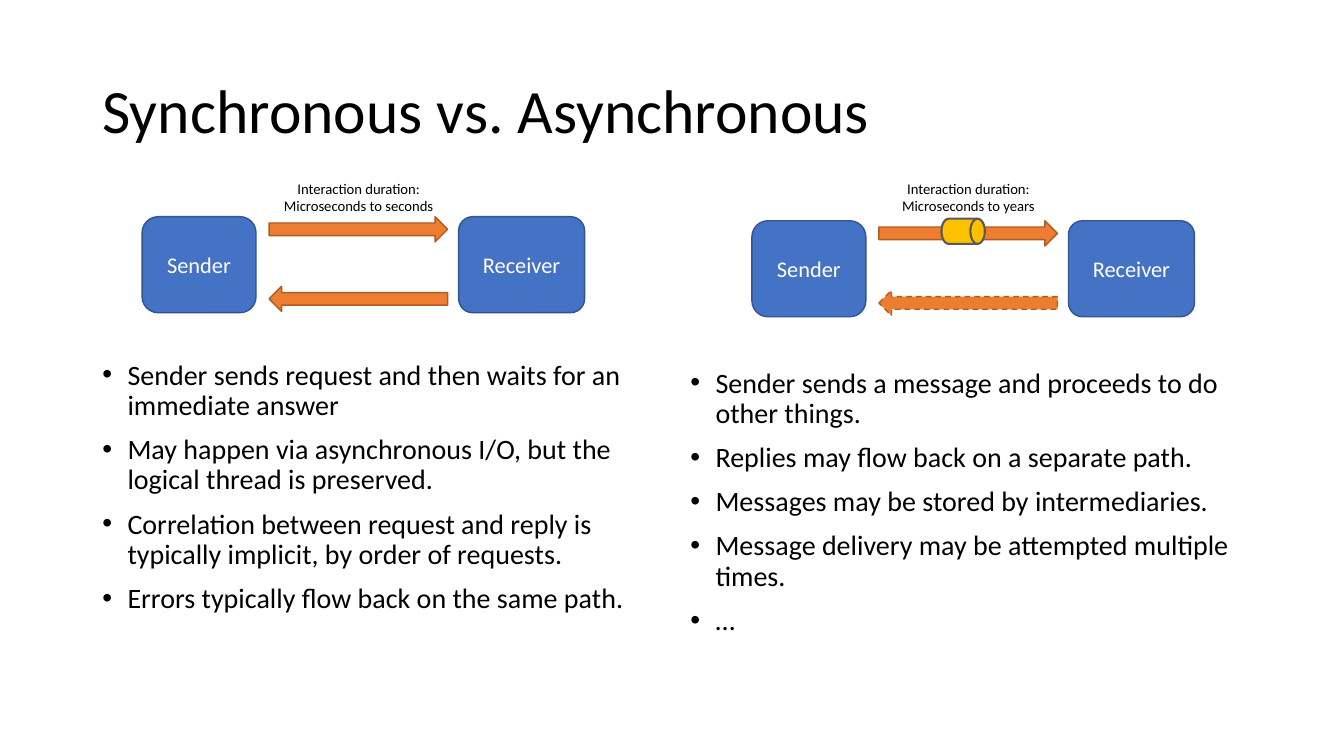
from lxml import etree
from pptx import Presentation
from pptx.dml.color import RGBColor
from pptx.enum import dml, shapes, text
from pptx.oxml import ns
from pptx.util import Pt

HUES = {
    "ink": "000000", "white": "FFFFFF", "blue": "4472C4", "navy": "325491",
    "orange": "ED7D31", "rust": "AF5C24", "gold": "FFC000", "gray": "595959",
}
KIND = shapes.MSO_SHAPE
ALIGN = text.PP_ALIGN
ANCHOR = text.MSO_ANCHOR


def write(box, lines, size, hue="ink", align=ALIGN.LEFT, anchor=ANCHOR.TOP,
          wrap=True, space=1.0, bullet=False):
    frame = box.text_frame
    frame.auto_size = text.MSO_AUTO_SIZE.NONE
    frame.word_wrap = wrap
    frame.vertical_anchor = anchor
    for i, line in enumerate(lines):
        para = frame.add_paragraph() if i else frame.paragraphs[0]
        para.text = line
        para.alignment = align
        para.line_spacing = space
        para.space_before = Pt(10 if i else 0)
        if bullet:
            props = para._p.get_or_add_pPr()
            props.set("marL", str(Pt(18)))
            props.set("indent", str(Pt(-18)))
            etree.SubElement(props, ns.qn("a:buFont")).set("typeface", "Arial")
            etree.SubElement(props, ns.qn("a:buChar")).set("char", "•")
        para.font.name = "Calibri"
        para.font.size = Pt(size)
        para.font.color.rgb = RGBColor.from_string(HUES[hue])


def draw(kind, x, y, w, h, fill, edge, width=1):
    shape = slide.shapes.add_shape(kind, Pt(x), Pt(y), Pt(w), Pt(h))
    shape.shadow.inherit = False
    shape.fill.solid()
    shape.fill.fore_color.rgb = RGBColor.from_string(HUES[fill])
    shape.line.color.rgb = RGBColor.from_string(HUES[edge])
    shape.line.width = Pt(width)
    return shape


deck = Presentation()
deck.slide_width, deck.slide_height = Pt(960), Pt(540)
slide = deck.slides.add_slide(deck.slide_layouts[5])

title = slide.shapes.title
title.left, title.top, title.width, title.height = Pt(66), Pt(28.75), Pt(828), Pt(104.4)
write(title, ["Synchronous vs. Asynchronous"], 44, anchor=ANCHOR.MIDDLE, space=0.9)

sides = [
    (66, 254.2, [
        "Sender sends request and then waits for an immediate answer",
        "May happen via asynchronous I/O, but the logical thread is preserved.",
        "Correlation between request and reply is typically implicit, by order of requests.",
        "Errors typically flow back on the same path.",
    ], 101.5, 154.8, "seconds"),
    (486, 259.9, [
        "Sender sends a message and proceeds to do other things.",
        "Replies may flow back on a separate path.",
        "Messages may be stored by intermediaries.",
        "Message delivery may be attempted multiple times.",
        "…",
    ], 537.1, 157.7, "years"),
]

for left, top, points, x, y, span in sides:
    body = slide.shapes.add_textbox(Pt(left), Pt(top), Pt(408), Pt(486 - top))
    write(body, points, 20, space=0.9, bullet=True)

    for name, shift, width, curve in [("Sender", 0, 81.4, 0.167), ("Receiver", 226.1, 90, 0.146)]:
        node = draw(KIND.ROUNDED_RECTANGLE, x + shift, y, width, 68.6, "blue", "navy")
        node.adjustments[0] = curve
        write(node, [name], 16, "white", ALIGN.CENTER, ANCHOR.MIDDLE)

    draw(KIND.RIGHT_ARROW, x + 90.7, y, 127.6, 18, "orange", "rust")
    reply = draw(KIND.LEFT_ARROW, x + 90.7, y + 49.7, 127.6, 18, "orange", "rust")
    if span == "years":
        reply.line.dash_style = dml.MSO_LINE.DASH
        draw(KIND.FLOWCHART_DIRECT_ACCESS_STORAGE, 672.5, 156.2, 31, 18, "gold", "gray", 1.5)

    label = slide.shapes.add_textbox(Pt(x + 92.7), Pt(124.6), Pt(124), Pt(32.4))
    write(label, [f"Interaction duration:\vMicroseconds to {span}"], 10.5,
          align=ALIGN.CENTER, wrap=False)

deck.save("out.pptx")
